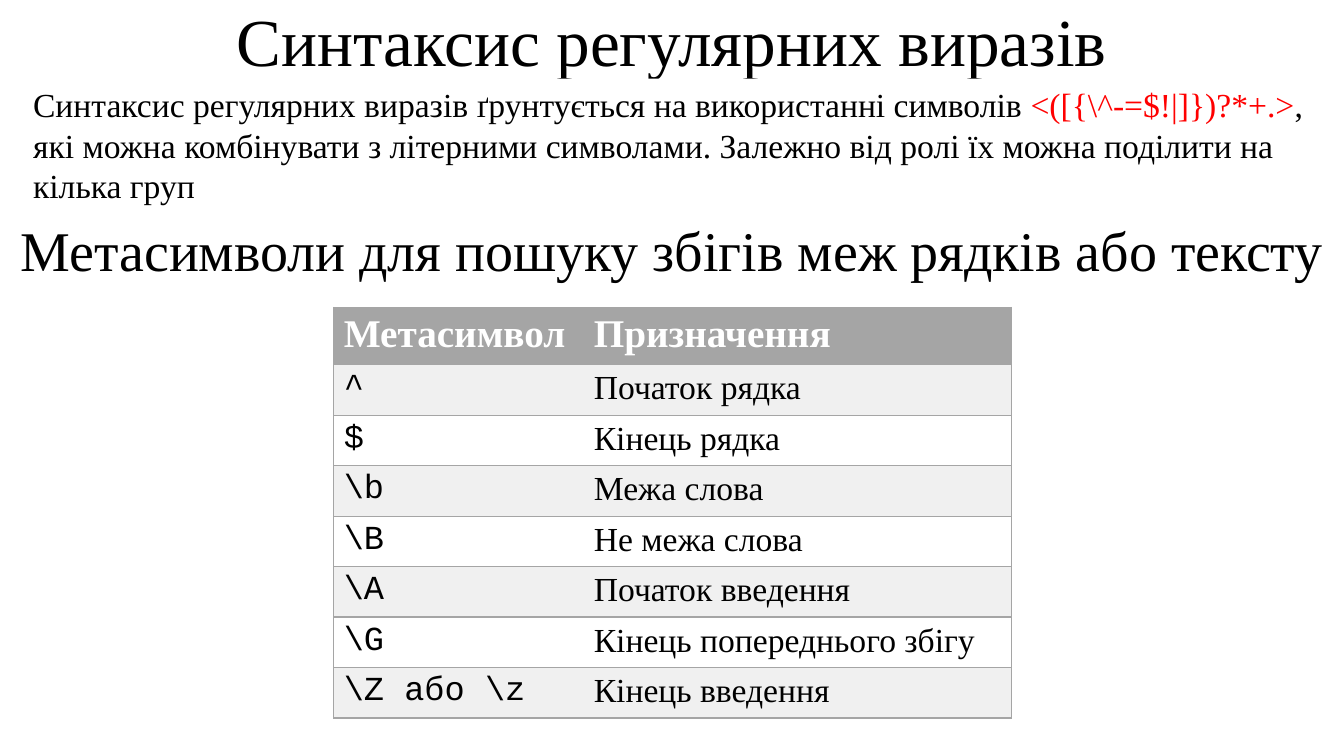
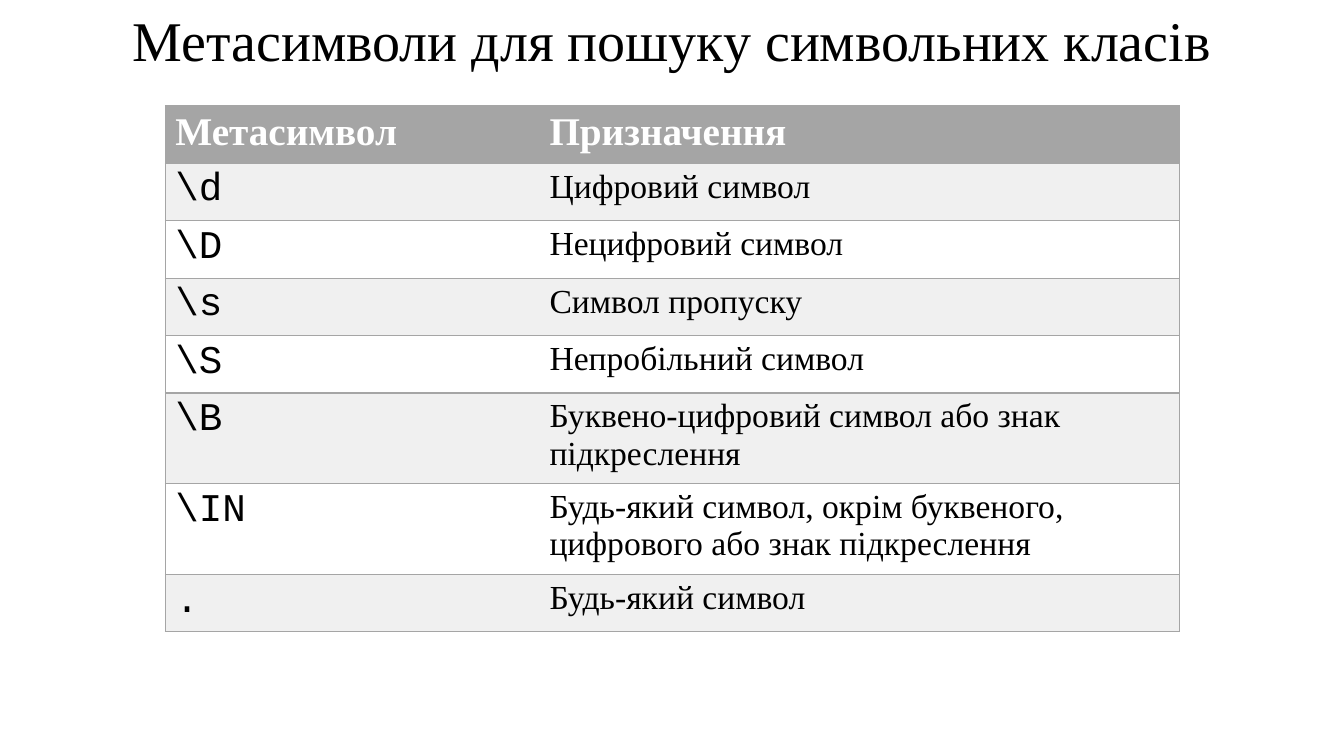
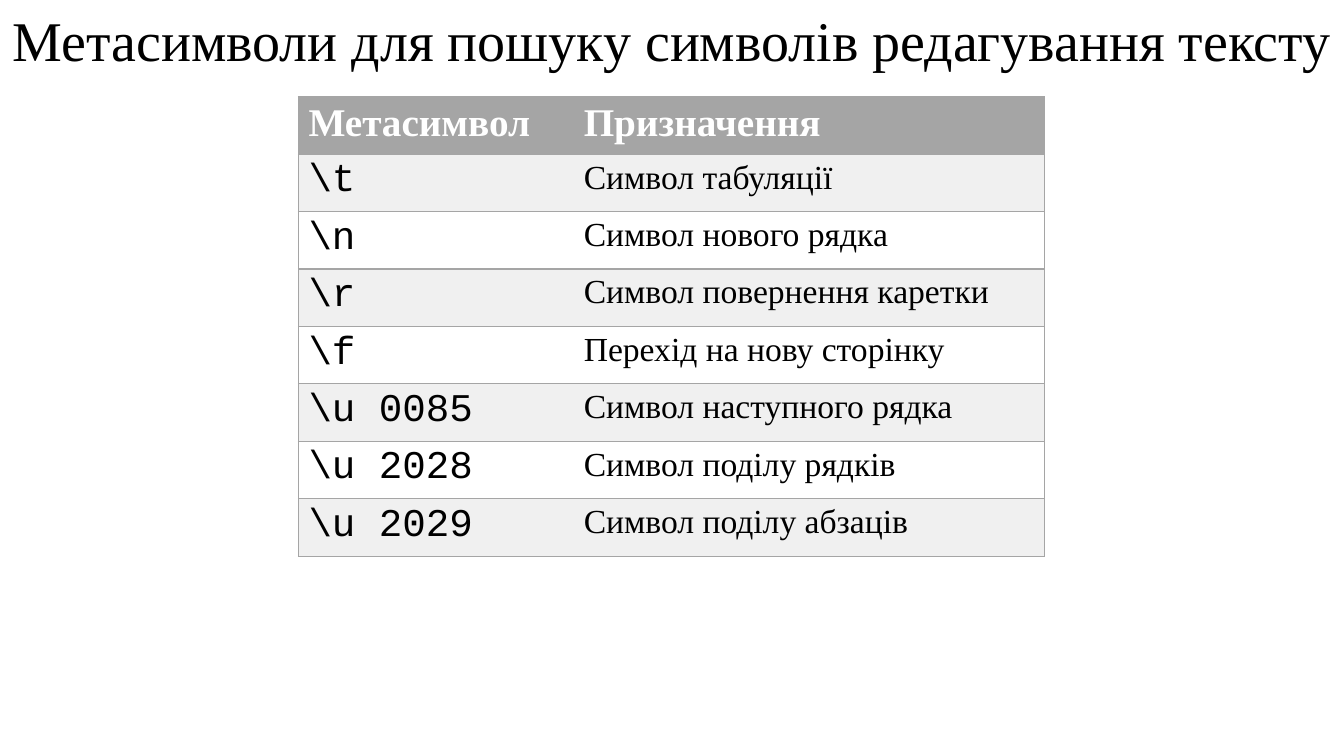
from lxml import etree
from pptx import Presentation
from pptx.dml.color import RGBColor
from pptx.enum.shapes import MSO_SHAPE
from pptx.enum.text import MSO_ANCHOR, MSO_AUTO_SIZE, PP_ALIGN
from pptx.oxml.ns import qn
from pptx.util import Inches, Pt

LEFT, CENTER = PP_ALIGN.LEFT, PP_ALIGN.CENTER
TOP, MIDDLE = MSO_ANCHOR.TOP, MSO_ANCHOR.MIDDLE
NO_FIT = MSO_AUTO_SIZE.NONE
RECTANGLE = MSO_SHAPE.RECTANGLE

# Shared style
SERIF, MONO = "Times New Roman", "Courier New"
BLACK, WHITE, RED, GRAY, BAND = "000000", "FFFFFF", "FF0000", "A5A5A5", "F0F0F0"
SLIDE_W, SLIDE_H = 13.33, 7.5
HEADING_H = 0.77
HEADER_ROW = ("Метасимвол", "Призначення")
TITLE_ONLY = 5

BOUNDARIES = [
    ("^", "Початок рядка"),
    ("$", "Кінець рядка"),
    (r"\b", "Межа слова"),
    (r"\B", "Не межа слова"),
    (r"\A", "Початок введення"),
    (r"\G", "Кінець попереднього збігу"),
    (r"\Z або \z", "Кінець введення"),
]
CHARACTER_CLASSES = [
    (r"\d", "Цифровий символ"),
    (r"\D", "Нецифровий символ"),
    (r"\s", "Символ пропуску"),
    (r"\S", "Непробільний символ"),
    (r"\B", "Буквено-цифровий символ або знак підкреслення"),
    (r"\IN", "Будь-який символ, окрім буквеного, цифрового або знак підкреслення"),
    (".", "Будь-який символ"),
]
EDITING_SYMBOLS = [
    (r"\t", "Символ табуляції"),
    (r"\n", "Символ нового рядка"),
    (r"\r", "Символ повернення каретки"),
    (r"\f", "Перехід на нову сторінку"),
    (r"\u 0085", "Символ наступного рядка"),
    (r"\u 2028", "Символ поділу рядків"),
    (r"\u 2029", "Символ поділу абзаців"),
]


def color(hex_value):
    return RGBColor.from_string(hex_value)


def fill_with(target, hex_value):
    target.fill.solid()
    target.fill.fore_color.rgb = color(hex_value)


def write(frame, *parts, size=24, font=SERIF, ink=BLACK, bold=False,
          align=LEFT, anchor=TOP, spacing=1.0):
    """Write one paragraph; a part is a text or a (text, colour) pair."""
    frame.word_wrap = True
    frame.vertical_anchor = anchor
    paragraph = frame.paragraphs[0]
    paragraph.alignment = align
    paragraph.line_spacing = spacing
    for part in parts:
        text, part_ink = (part, ink) if isinstance(part, str) else part
        run = paragraph.add_run()
        run.text = text
        run.font.size = Pt(size)
        run.font.name = font
        run.font.bold = bold
        run.font.color.rgb = color(part_ink)


def place(shape, left, top, width, height):
    shape.left, shape.top = Inches(left), Inches(top)
    shape.width, shape.height = Inches(width), Inches(height)


def add_titled_slide(deck, title, height=HEADING_H, **style):
    slide = deck.slides.add_slide(deck.slide_layouts[TITLE_ONLY])
    heading = slide.shapes.title
    place(heading, 0, 0, SLIDE_W, height)
    heading.text_frame.auto_size = NO_FIT
    write(heading.text_frame, title, **{"size": 40, "align": CENTER, **style})
    return slide


def set_borders(cell, is_first, is_last):
    """Gray rules around each row, none between its columns."""
    properties = cell._tc.get_or_add_tcPr()
    sides = (("a:lnL", is_first), ("a:lnR", is_last), ("a:lnT", True), ("a:lnB", True))
    for position, (side, visible) in enumerate(sides):
        line = etree.Element(qn(side), w=str(Pt(1)))
        if visible:
            paint = etree.SubElement(line, qn("a:solidFill"))
            etree.SubElement(paint, qn("a:srgbClr"), val=GRAY)
        else:
            etree.SubElement(line, qn("a:noFill"))
        properties.insert(position, line)


def add_metacharacter_table(slide, entries, left, top, column_widths, row_heights, code_size=28):
    rows = [HEADER_ROW, *entries]
    table = slide.shapes.add_table(
        len(rows), len(column_widths), Inches(left), Inches(top),
        Inches(sum(column_widths)), Inches(sum(row_heights))).table
    for column, width in zip(table.columns, column_widths):
        column.width = Inches(width)
    column_styles = ({"font": MONO, "size": code_size}, {"font": SERIF, "size": 24})
    header_style = {"size": 28, "ink": WHITE, "bold": True}
    last = len(column_widths) - 1
    for r, (entry, height) in enumerate(zip(rows, row_heights)):
        table.rows[r].height = Inches(height)
        background = GRAY if r == 0 else BAND if r % 2 else WHITE
        for c, text in enumerate(entry):
            cell = table.cell(r, c)
            fill_with(cell, background)
            set_borders(cell, c == 0, c == last)
            write(cell.text_frame, text, **(column_styles[c] if r else header_style))


def add_introduction(slide, left, top, width, height):
    panel = slide.shapes.add_shape(RECTANGLE, Inches(left), Inches(top),
                                   Inches(width), Inches(height))
    panel.shadow.inherit = False
    fill_with(panel, WHITE)
    panel.line.fill.background()
    write(panel.text_frame,
          "Синтаксис регулярних виразів ґрунтується на використанні символів ",
          (r"<([{\^-=$!|]})?*+.>", RED),
          ", які можна комбінувати з літерними символами. "
          "Залежно від ролі їх можна поділити на кілька груп",
          anchor=MIDDLE)


def build_syntax_slide(deck):
    slide = add_titled_slide(deck, "Синтаксис регулярних виразів", height=0.89,
                             size=48, anchor=MIDDLE, spacing=0.9)
    add_introduction(slide, 0.23, 0.78, 12.88, 1.31)
    subheading = slide.shapes.add_textbox(0, Inches(2.09), Inches(SLIDE_W), Inches(HEADING_H))
    write(subheading.text_frame, "Метасимволи для пошуку збігів меж рядків або тексту",
          size=40, align=CENTER)
    add_metacharacter_table(slide, BOUNDARIES, 3.31, 3.05, (2.48, 4.24),
                            [0.57] + [0.5] * 7, code_size=24)


def build_classes_slide(deck):
    slide = add_titled_slide(deck, "Метасимволи для пошуку символьних класів")
    add_metacharacter_table(slide, CHARACTER_CLASSES, 1.64, 1.05, (3.71, 6.35),
                            [0.57] * 5 + [0.9] * 2 + [0.57])


def build_editing_slide(deck):
    slide = add_titled_slide(deck, "Метасимволи для пошуку символів редагування тексту")
    add_metacharacter_table(slide, EDITING_SYMBOLS, 2.96, 0.96, (2.73, 4.67), [0.57] * 8)


def main():
    deck = Presentation()
    deck.slide_width, deck.slide_height = Inches(SLIDE_W), Inches(SLIDE_H)
    build_syntax_slide(deck)
    build_classes_slide(deck)
    build_editing_slide(deck)
    deck.save("out.pptx")


if __name__ == "__main__":
    main()
